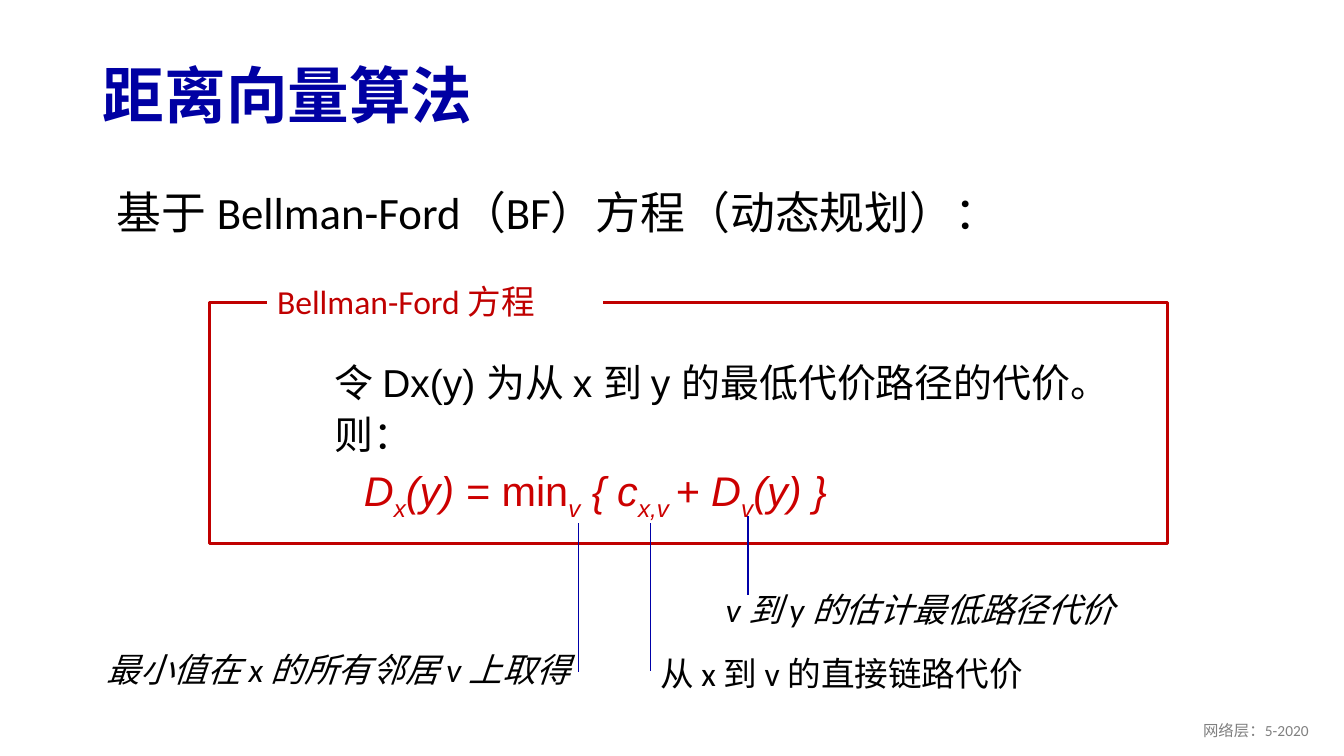
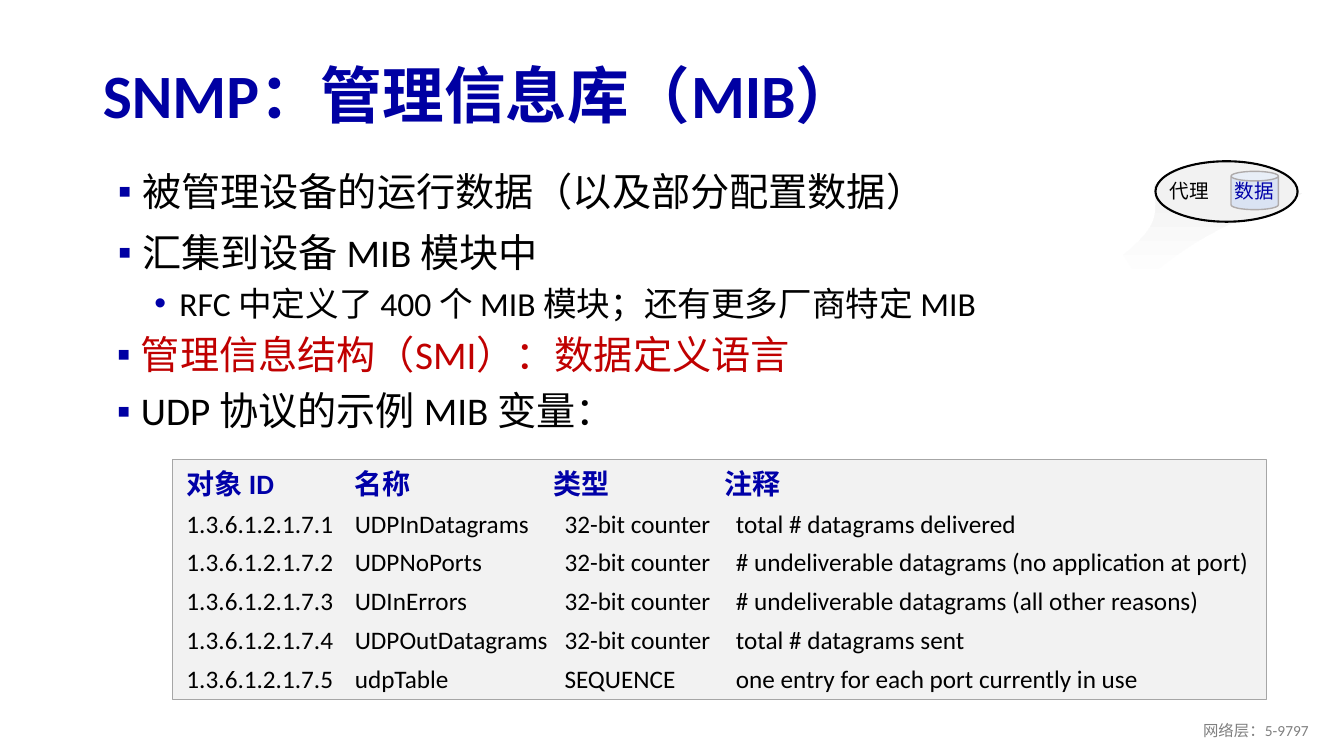
import pptx
import pptx.util
import pptx.dml.color
import pptx.enum.shapes
import pptx.enum.text
import pptx.oxml.ns
import lxml.etree

Inches = pptx.util.Inches
Pt = pptx.util.Pt
SHAPE = pptx.enum.shapes.MSO_SHAPE
ANCHOR = pptx.enum.text.MSO_ANCHOR
ALIGN = pptx.enum.text.PP_ALIGN
FIT = pptx.enum.text.MSO_AUTO_SIZE
qn = pptx.oxml.ns.qn

COLOR = {
    "title": "0000A3", "blue": "0000A8", "text": "000000", "red": "C00000",
    "math": "CC0000", "foot": "808080", "white": "FFFFFF", "panel": "F2F2F2",
    "edge": "A6A6A6", "can": "DAE3F3", "rim": "AFABAB",
}
PLAIN_TABLE = "{2D5ABB26-0587-4C30-8999-92F81FD0307C}"  # no style, no grid


def rgb(name):
    return pptx.dml.color.RGBColor.from_string(COLOR[name])


def sub(parent, tag, **attrs):
    return lxml.etree.SubElement(parent, qn(tag), **attrs)


# Text
def style(font, size, color="text", name="Calibri", bold=False, italic=False):
    font.name = name
    font.size = Pt(size)
    font.color.rgb = rgb(color)
    font.bold = bold
    font.italic = italic


def para(frame, text, size, color="text", left=0, hang=0, gap=0, space=1.0,
         level=0, bullet=None, tint="title", **look):
    """Fill the first paragraph if it is free, else add one."""
    par = frame.paragraphs[0]
    if par.runs:
        par = frame.add_paragraph()
        par.space_before = Pt(gap)
    else:
        par.space_before = Pt(0)
    par.level = level
    par.line_spacing = space
    props = par._p.get_or_add_pPr()
    props.set("marL", str(Inches(left)))
    props.set("indent", str(Inches(-hang)))
    if bullet:
        sub(sub(props, "a:buClr"), "a:srgbClr", val=COLOR[tint])
        sub(props, "a:buFont", typeface="Arial")
        sub(props, "a:buChar", char=bullet)
    else:
        sub(props, "a:buNone")
    style(par.font, size, color, **look)
    if text:
        par.add_run().text = text
    return par


def point(frame, text, color="text", space=1.0):
    para(frame, text, 28, color, left=0.39, hang=0.24, gap=10,
         space=space, bullet="▪")


def place(shape, box, anchor=ANCHOR.TOP, wrap=True):
    shape.left, shape.top, shape.width, shape.height = map(Inches, box)
    frame = shape.text_frame
    frame.auto_size = FIT.NONE
    frame.word_wrap = wrap
    frame.vertical_anchor = anchor
    return frame


def textbox(slide, box, **opts):
    return place(slide.shapes.add_textbox(0, 0, 0, 0), box, **opts)


def label(slide, box, text, size=24, color="text", wrap=True, **look):
    para(textbox(slide, box, wrap=wrap), text, size, color, **look)


# Shapes
def paint(shape, fill=None, line=None, width=1):
    shape.shadow.inherit = False
    if fill:
        shape.fill.solid()
        shape.fill.fore_color.rgb = rgb(fill)
    else:
        shape.fill.background()
    if line:
        shape.line.color.rgb = rgb(line)
        shape.line.width = Pt(width)
    else:
        shape.line.fill.background()


def solid(slide, kind, box, **look):
    shape = slide.shapes.add_shape(kind, *map(Inches, box))
    paint(shape, **look)
    return shape


def rule(slide, x, top, end):
    line = slide.shapes.add_connector(
        pptx.enum.shapes.MSO_CONNECTOR.STRAIGHT,
        Inches(x), Inches(top), Inches(x), Inches(end))
    line.line.color.rgb = rgb("blue")
    line.line.width = Pt(1)
    sub(line._element.spPr, "a:effectLst")


def curve(start, pull, push, end, steps=16):
    """Points along a cubic curve, without its start."""
    spots = []
    for i in range(1, steps + 1):
        t = i / steps
        u = 1 - t
        spots.append(tuple(
            u**3 * a + 3 * u * u * t * b + 3 * u * t * t * c + t**3 * d
            for a, b, c, d in zip(start, pull, push, end)))
    return spots


def beam(slide):
    tip = (11.14, 2.53)
    far = (12.91, 1.92)
    edge = curve(tip, (11.49, 2.25), (11.48, 2.14), (11.45, 1.83))
    edge += [far] + curve(far, (12.04, 2.27), (11.83, 2.38), (11.32, 2.81))
    build = slide.shapes.build_freeform(Inches(tip[0]), Inches(tip[1]))
    build.add_line_segments([(Inches(x), Inches(y)) for x, y in edge])
    shape = build.convert_to_shape()
    paint(shape)
    shape.fill.gradient()
    shape.fill.gradient_angle = 90
    for stop, name in zip(shape.fill.gradient_stops, ("white", "panel")):
        stop.color.rgb = rgb(name)


# Table
def grid(slide, box, widths, heights, rows):
    table = slide.shapes.add_table(
        len(rows), len(widths), *map(Inches, box)).table
    table.first_row = table.horz_banding = False
    table._tbl.tblPr.find(qn("a:tableStyleId")).text = PLAIN_TABLE
    for col, width in zip(table.columns, widths):
        col.width = Inches(width)
    for r, row in enumerate(rows):
        table.rows[r].height = Inches(heights[r])
        head = r == 0
        for c, text in enumerate(row):
            cell = table.cell(r, c)
            cell.fill.background()
            cell.vertical_anchor = ANCHOR.MIDDLE
            cell.margin_left = Inches(0.03 if head and c > 1 else 0.14)
            cell.margin_right = cell.margin_top = cell.margin_bottom = 0
            para(cell.text_frame, text, 20 if head else 18,
                 "blue" if head else "text", bold=head)


# Shared frame of each slide
def page(deck, title, number, box):
    """Add a slide; return it with its body text frame."""
    slide = deck.slides.add_slide(deck.slide_layouts[1])
    head = place(slide.shapes.title, (0.92, 0.49, 11.5, 0.98), ANCHOR.MIDDLE)
    par = para(head, title, 44, "title", space=0.9, bold=True)
    par.alignment = ALIGN.LEFT
    foot = textbox(slide, (10.08, 7.05, 3, 0.4), anchor=ANCHOR.MIDDLE)
    par = para(foot, "网络层：" + number, 11, "foot")
    par.alignment = ALIGN.RIGHT
    return slide, place(slide.placeholders[1], box)


def vector(deck):
    slide, body = page(deck, "距离向量算法", "5-2020",
                       (0.92, 1.89, 11.83, 0.57))
    para(body, "基于 Bellman-Ford（BF）方程（动态规划）：", 32,
         left=0.14, space=0.8)

    # Framed equation
    frame = textbox(slide, (3.07, 3.6, 8.7, 2.16))
    for text in ("令 Dx(y) 为从 x 到 y 的最低代价路径的代价。", "则："):
        para(frame, text, 27.8, left=0.39, hang=0.24, gap=10, space=0.8,
             name="Arial")
    par = para(frame, "", 29.6, "math", left=0.44, gap=10, space=0.8,
               name="Arial")
    terms = (("D", "x"), ("(y) = ", ""), ("min", "v"), (" { c", "x,v "),
             ("+ D", "v"), ("(y) }", ""))
    for base, low in terms:
        for text, drop in ((base, False), (low, True)):
            if text:
                run = par.add_run()
                run.text = text
                style(run.font, 29.6, "math", "Arial", italic=text != "min")
                if drop:
                    run._r.get_or_add_rPr().set("baseline", "-25000")
    solid(slide, SHAPE.RECTANGLE, (2.08, 3, 9.5, 2.39), line="red", width=2)
    tab = (2.65, 2.74, 3.33, 0.5)
    solid(slide, SHAPE.RECTANGLE, tab, fill="white")
    label(slide, tab, "Bellman-Ford 方程", color="red")

    # Notes on the terms
    notes = (
        ((0.96, 6.39, 4.86, 0.5), "最小值在 x 的所有邻居 v 上取得", True,
         (5.74, 5.19, 6.67)),
        ((7.1, 5.79, 5.31, 0.5), "v 到 y 的估计最低路径代价", True,
         (7.42, 5.12, 5.9)),
        ((6.45, 6.43, 4.08, 0.5), "从 x 到 v 的直接链路代价", False,
         (6.45, 5.19, 6.66)),
    )
    for box, text, slant, line in notes:
        label(slide, box, text, italic=slant)
        rule(slide, *line)


def base(deck):
    slide, body = page(deck, "SNMP：管理信息库（MIB）", "5-9797",
                       (0.92, 1.61, 11.78, 1.8))
    point(body, "被管理设备的运行数据（以及部分配置数据）")
    point(body, "汇集到设备 MIB 模块中")
    para(body, "RFC 中定义了 400 个 MIB 模块；还有更多厂商特定 MIB", 24,
         left=0.76, hang=0.25, gap=5, level=1, bullet="•", tint="blue")
    more = textbox(slide, (0.91, 3.28, 11.78, 1.1))
    point(more, "管理信息结构（SMI）：数据定义语言", "red", 0.9)
    point(more, "UDP 协议的示例 MIB 变量：", space=0.9)

    # Variables
    panel = (1.71, 4.56, 10.85, 2.38)
    solid(slide, SHAPE.RECTANGLE, panel, fill="panel", line="edge")
    count = "32-bit counter"
    fields = (
        ("UDPInDatagrams", count, "total # datagrams delivered"),
        ("UDPNoPorts", count,
         "# undeliverable datagrams (no application at port)"),
        ("UDInErrors", count, "# undeliverable datagrams (all other reasons)"),
        ("UDPOutDatagrams", count, "total # datagrams sent"),
        ("udpTable", "SEQUENCE", "one entry for each port currently in use"),
    )
    rows = [("对象 ID", "名称", "类型", "注释")]
    rows += [(f"1.3.6.1.2.1.7.{i}", *row) for i, row in enumerate(fields, 1)]
    grid(slide, panel, (1.67, 2.08, 1.7, 5.4),
         [0.45] + [0.385] * len(fields), rows)

    # Agent with its data store
    beam(slide)
    solid(slide, SHAPE.OVAL, (11.46, 1.6, 1.41, 0.6), fill="panel",
          line="text", width=1.5)
    label(slide, (11.5, 1.73, 0.69, 0.34), "代理", 14, wrap=False,
          name="Arial")
    solid(slide, SHAPE.CAN, (12.21, 1.7, 0.47, 0.38), fill="can", line="rim")
    label(slide, (12.15, 1.73, 0.58, 0.34), "数据", 14, "blue", wrap=False,
          name="Arial")


def main():
    deck = pptx.Presentation()
    deck.slide_width = Inches(13.33)
    deck.slide_height = Inches(7.5)
    vector(deck)
    base(deck)
    deck.save("out.pptx")


if __name__ == "__main__":
    main()
